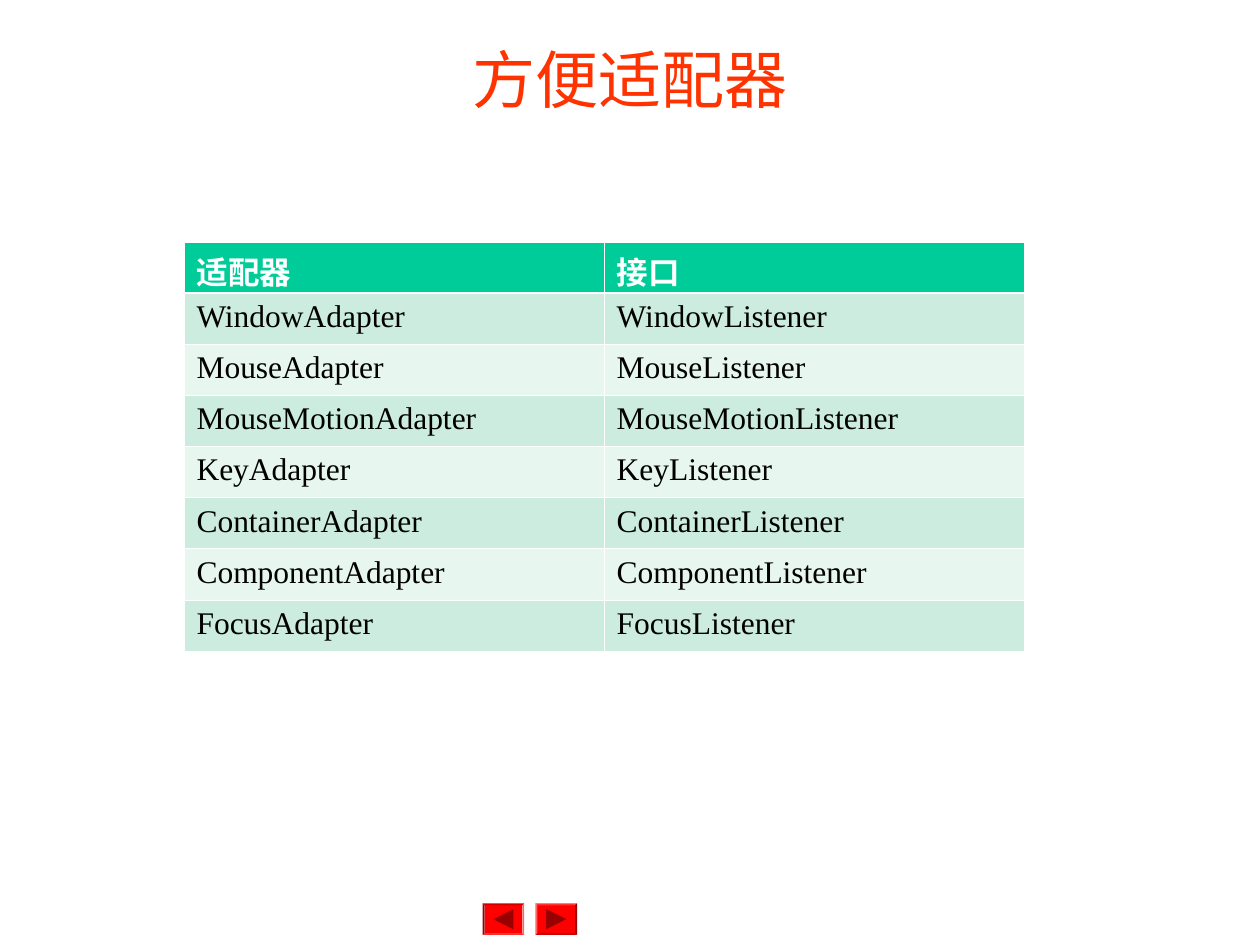
from lxml import etree
from pptx import Presentation
from pptx.dml.color import RGBColor
from pptx.enum.shapes import MSO_SHAPE
from pptx.enum.text import MSO_ANCHOR, PP_ALIGN
from pptx.oxml.ns import qn
from pptx.util import Inches, Pt

BEVEL = MSO_SHAPE.BEVEL
TRIANGLE = MSO_SHAPE.ISOSCELES_TRIANGLE
MIDDLE = MSO_ANCHOR.MIDDLE
CENTER = PP_ALIGN.CENTER

ORANGE = RGBColor(0xFF, 0x33, 0x00)
RED = RGBColor(0xFF, 0x00, 0x00)
DARK_RED = RGBColor(0x99, 0x00, 0x00)
GREEN = RGBColor(0x00, 0xCC, 0x99)
MINT = RGBColor(0xCB, 0xEC, 0xDE)
PALE_MINT = RGBColor(0xE7, 0xF6, 0xEF)
WHITE = RGBColor(0xFF, 0xFF, 0xFF)
BLACK = RGBColor(0x00, 0x00, 0x00)

TITLE = "方便适配器"
HEADER = ("适配器", "接口")
EVENTS = ["Window", "Mouse", "MouseMotion", "Key", "Container", "Component", "Focus"]
ROWS = [HEADER] + [(event + "Adapter", event + "Listener") for event in EVENTS]
BUTTONS = [(3.83, 180), (4.25, 0)]

THIN, THICK = Pt(0.45), Pt(1.47)
BUTTON_TOP, BUTTON_WIDTH, BUTTON_HEIGHT = 7.17, 0.33, 0.25
ARROW_SIZE = 0.16


def add_title(slide):
    box = slide.shapes.add_textbox(Inches(0.75), Inches(0.08), Inches(8.5), Inches(1.08))
    frame = box.text_frame
    frame.word_wrap = True
    frame.vertical_anchor = MIDDLE
    frame.text = TITLE
    paragraph = frame.paragraphs[0]
    paragraph.alignment = CENTER
    style_font(paragraph.runs[0].font, "Quicksand", 36, ORANGE)


def style_font(font, name, size, color, bold=False):
    font.name = name
    font.size = Pt(size)
    font.color.rgb = color
    font.bold = bold


def set_borders(cell, top, bottom):
    properties = cell._tc.get_or_add_tcPr()
    widths = {"a:lnL": THIN, "a:lnR": THIN, "a:lnT": top, "a:lnB": bottom}
    for index, (tag, width) in enumerate(widths.items()):
        line = etree.Element(qn(tag), w=str(int(width)))
        fill = etree.SubElement(line, qn("a:solidFill"))
        etree.SubElement(fill, qn("a:srgbClr"), val=str(WHITE))
        properties.insert(index, line)


def add_adapter_table(slide):
    table = slide.shapes.add_table(
        len(ROWS), len(HEADER), Inches(1.46), Inches(1.92), Inches(6.67), Inches(3.25)
    ).table
    for row_index, row in enumerate(ROWS):
        is_header = row_index == 0
        background = GREEN if is_header else MINT if row_index % 2 else PALE_MINT
        for column_index, text in enumerate(row):
            cell = table.cell(row_index, column_index)
            cell.text_frame.text = text
            font = cell.text_frame.paragraphs[0].runs[0].font
            style_font(font, "Times New Roman", 18, WHITE if is_header else BLACK, is_header)
            cell.fill.solid()
            cell.fill.fore_color.rgb = background
            set_borders(cell, THICK if row_index == 1 else THIN, THICK if is_header else THIN)


def add_plain_shape(slide, kind, left, top, width, height, color, rotation):
    shape = slide.shapes.add_shape(
        kind, Inches(left), Inches(top), Inches(width), Inches(height)
    )
    shape.shadow.inherit = False
    shape.fill.solid()
    shape.fill.fore_color.rgb = color
    shape.line.fill.background()
    shape.rotation = rotation
    return shape


def add_button(slide, left, rotation):
    button = add_plain_shape(
        slide, BEVEL, left, BUTTON_TOP, BUTTON_WIDTH, BUTTON_HEIGHT, RED, rotation
    )
    button.adjustments[0] = 0.06
    arrow_left = left + (BUTTON_WIDTH - ARROW_SIZE) / 2
    arrow_top = BUTTON_TOP + (BUTTON_HEIGHT - ARROW_SIZE) / 2
    add_plain_shape(
        slide, TRIANGLE, arrow_left, arrow_top, ARROW_SIZE, ARROW_SIZE, DARK_RED, rotation + 90
    )


def main():
    presentation = Presentation()
    presentation.slide_width = Inches(10)
    presentation.slide_height = Inches(7.5)
    slide = presentation.slides.add_slide(presentation.slide_layouts[6])
    for left, rotation in BUTTONS:
        add_button(slide, left, rotation)
    add_title(slide)
    add_adapter_table(slide)
    presentation.save("out.pptx")


if __name__ == "__main__":
    main()
